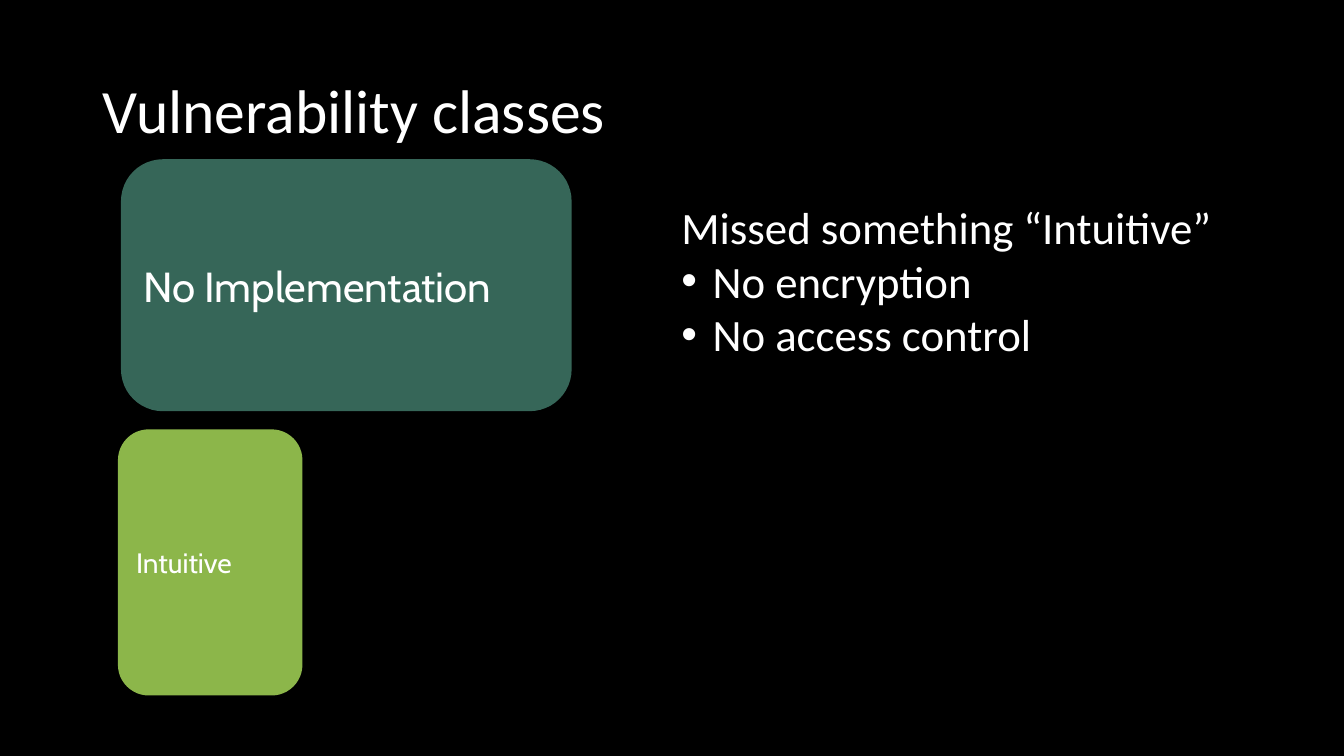
from dataclasses import dataclass

from lxml import etree
from pptx import Presentation
from pptx.dml.color import RGBColor
from pptx.enum.shapes import MSO_SHAPE
from pptx.enum.text import MSO_ANCHOR, MSO_AUTO_SIZE
from pptx.oxml.ns import qn
from pptx.slide import Slide
from pptx.util import Inches, Pt

BLACK = RGBColor(0x00, 0x00, 0x00)
WHITE = RGBColor(0xFF, 0xFF, 0xFF)
TEAL = RGBColor(0x36, 0x66, 0x58)
GREEN = RGBColor(0x8C, 0xB6, 0x4A)

BULLET_INDENT = 0.31


@dataclass(frozen=True)
class Box:
    left: float
    top: float
    width: float
    height: float

    def lengths(self) -> tuple[int, int, int, int]:
        return (Inches(self.left), Inches(self.top),
                Inches(self.width), Inches(self.height))


@dataclass(frozen=True)
class Card:
    label: str
    frame: Box
    label_box: Box
    fill: RGBColor
    size: float


CARDS = [
    Card("No Implementation", Box(1.2, 1.58, 4.47, 2.5),
         Box(1.37, 2.53, 4.13, 0.61), TEAL, 30),
    Card("Intuitive", Box(1.17, 4.26, 1.83, 2.64),
         Box(1.3, 5.36, 1.56, 0.44), GREEN, 20),
]


def add_text(slide: Slide, lines: list[str], box: Box, *, size: float,
             font: str = "Calibri", anchor: MSO_ANCHOR = MSO_ANCHOR.TOP,
             side_inset: float = 0.1, line_spacing: float = 1.0,
             bullets_from: int | None = None, grow: bool = True) -> None:
    """Add one paragraph per line, bulleted from index bullets_from on."""
    frame = slide.shapes.add_textbox(*box.lengths()).text_frame
    frame.word_wrap = True
    frame.auto_size = MSO_AUTO_SIZE.SHAPE_TO_FIT_TEXT if grow else MSO_AUTO_SIZE.NONE
    frame.vertical_anchor = anchor
    frame.margin_left = frame.margin_right = Inches(side_inset)
    frame.margin_top = frame.margin_bottom = Inches(0.05)
    for index, line in enumerate(lines):
        paragraph = frame.paragraphs[0] if index == 0 else frame.add_paragraph()
        paragraph.line_spacing = line_spacing
        run = paragraph.add_run()
        run.text = line
        run.font.name = font
        run.font.size = Pt(size)
        run.font.color.rgb = WHITE
        if bullets_from is not None and index >= bullets_from:
            properties = paragraph._p.get_or_add_pPr()
            properties.set("marL", str(Inches(BULLET_INDENT)))
            properties.set("indent", str(-Inches(BULLET_INDENT)))
            etree.SubElement(properties, qn("a:buFont"), typeface="Arial")
            etree.SubElement(properties, qn("a:buChar"), char="•")


def add_card(slide: Slide, card: Card) -> None:
    shape = slide.shapes.add_shape(MSO_SHAPE.ROUNDED_RECTANGLE, *card.frame.lengths())
    shape.shadow.inherit = False
    shape.fill.solid()
    shape.fill.fore_color.rgb = card.fill
    shape.line.fill.background()
    add_text(slide, [card.label], card.label_box, size=card.size, font="Cabin",
             anchor=MSO_ANCHOR.MIDDLE, side_inset=0.05)


def main() -> None:
    presentation = Presentation()
    presentation.slide_width = Inches(13.33)
    presentation.slide_height = Inches(7.5)
    slide = presentation.slides.add_slide(presentation.slide_layouts[6])
    slide.background.fill.solid()
    slide.background.fill.fore_color.rgb = BLACK

    for card in CARDS:
        add_card(slide, card)
    add_text(slide, ["Missed something “Intuitive”", "No encryption", "No access control"],
             Box(6.66, 1.93, 5.93, 1.72), size=32, bullets_from=1)
    add_text(slide, ["Vulnerability classes"], Box(0.92, 0.4, 11.5, 1.45), size=44,
             anchor=MSO_ANCHOR.MIDDLE, line_spacing=0.9, grow=False)
    presentation.save("out.pptx")


if __name__ == "__main__":
    main()
